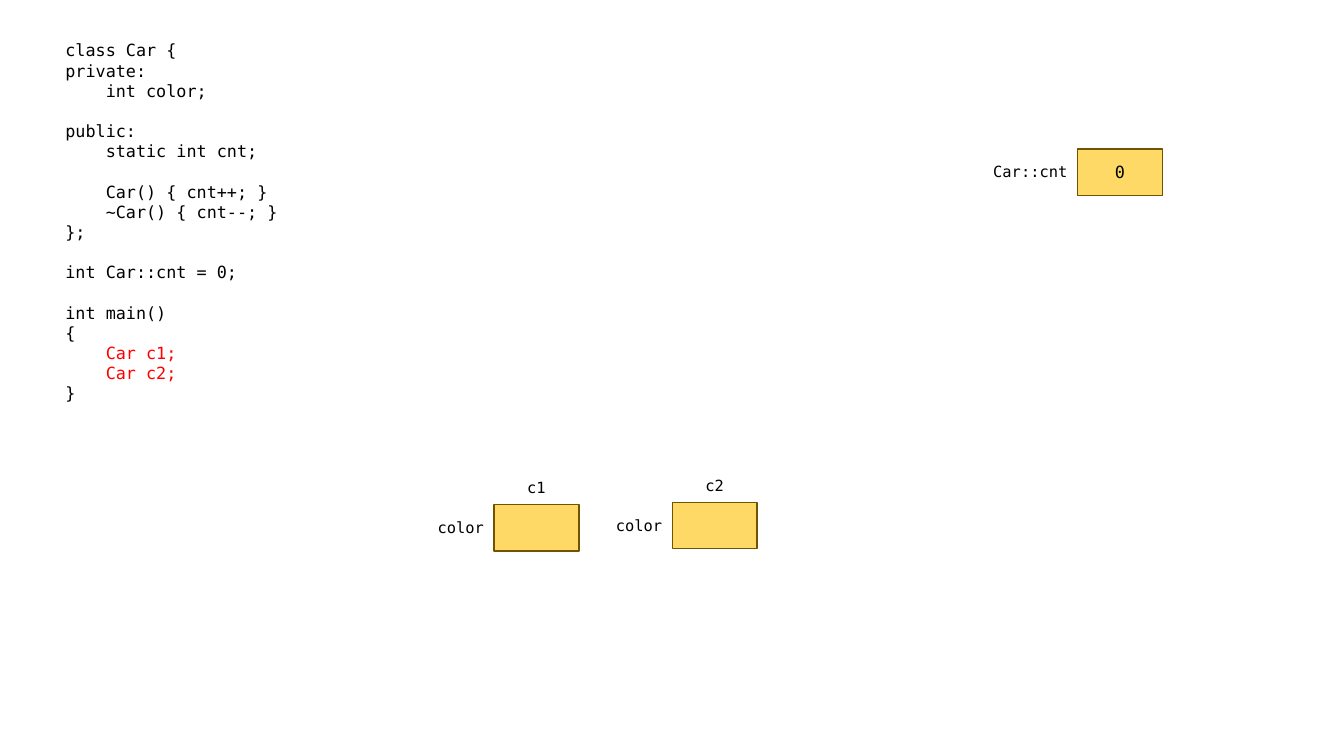
from dataclasses import dataclass

from pptx import Presentation
from pptx.dml.color import RGBColor
from pptx.enum.shapes import MSO_SHAPE as Shape
from pptx.enum.text import MSO_ANCHOR as Anchor, MSO_AUTO_SIZE as AutoSize, PP_ALIGN as Align
from pptx.util import Pt

CODE_BLOCKS = [
    ["class Car {", "private:", "    int color;"],
    ["public:", "    static int cnt;"],
    ["    Car() { cnt++; }", "    ~Car() { cnt--; }", "};"],
    ["int Car::cnt = 0;"],
    ["int main()", "{", "    Car c1;", "    Car c2;", "}"],
]
HIGHLIGHTED = {"    Car c1;", "    Car c2;"}
CODE_AREA = (39.6, 25.2, 480, 269.3)

# left, top, value, label at the left, label width, object name above
VARIABLES = [
    (769.7, 106.4, "0", "Car::cnt", 75, None),
    (352.8, 360.5, "", "color", 54, "c1"),
    (480.2, 358.8, "", "color", 54, "c2"),
]
CELL_WIDTH, CELL_HEIGHT = 60.7, 33.1
LABEL_HEIGHT = 20.9
NAME_WIDTH = 70.6
NAME_RISE = 22.2


@dataclass(frozen=True)
class Theme:
    font: str = "DejaVu Sans Mono"
    text: RGBColor = RGBColor(0, 0, 0)
    highlight: RGBColor = RGBColor(255, 0, 0)
    cell: RGBColor = RGBColor(0xFF, 0xD9, 0x66)
    border: RGBColor = RGBColor(0x70, 0x54, 0x00)
    code_size: float = 12
    label_size: float = 11
    block_gap: float = 14.4


THEME = Theme()


def style(paragraph, size, color=THEME.text, align=Align.LEFT):
    paragraph.alignment = align
    paragraph.font.name = THEME.font
    paragraph.font.size = Pt(size)
    paragraph.font.color.rgb = color


def add_text_frame(slide, area):
    frame = slide.shapes.add_textbox(*map(Pt, area)).text_frame
    frame.word_wrap = True
    frame.auto_size = AutoSize.SHAPE_TO_FIT_TEXT
    return frame


def add_code(slide):
    frame = add_text_frame(slide, CODE_AREA)
    for block_index, block in enumerate(CODE_BLOCKS):
        for line_index, line in enumerate(block):
            first = block_index == line_index == 0
            paragraph = frame.paragraphs[0] if first else frame.add_paragraph()
            paragraph.text = line
            style(paragraph, THEME.code_size,
                  THEME.highlight if line in HIGHLIGHTED else THEME.text)
            if line_index == 0 and not first:
                paragraph.space_before = Pt(THEME.block_gap)


def add_label(slide, text, area, align):
    paragraph = add_text_frame(slide, area).paragraphs[0]
    paragraph.text = text
    style(paragraph, THEME.label_size, align=align)


def add_variable(slide, left, top, value, label, label_width, name):
    """Draw a memory cell with its label and, if given, the object's name."""
    cell = slide.shapes.add_shape(
        Shape.RECTANGLE, *map(Pt, (left, top, CELL_WIDTH, CELL_HEIGHT)))
    cell.shadow.inherit = False
    cell.fill.solid()
    cell.fill.fore_color.rgb = THEME.cell
    cell.line.color.rgb = THEME.border
    cell.line.width = Pt(1)
    if value:
        cell.text_frame.vertical_anchor = Anchor.MIDDLE
        paragraph = cell.text_frame.paragraphs[0]
        paragraph.text = value
        style(paragraph, THEME.code_size, align=Align.CENTER)

    label_top = top + (CELL_HEIGHT - LABEL_HEIGHT) / 2
    add_label(slide, label, (left - label_width, label_top, label_width, LABEL_HEIGHT),
              Align.RIGHT)
    if name:
        name_left = left + (CELL_WIDTH - NAME_WIDTH) / 2
        add_label(slide, name, (name_left, top - NAME_RISE, NAME_WIDTH, LABEL_HEIGHT),
                  Align.CENTER)


def main():
    deck = Presentation()
    deck.slide_width, deck.slide_height = Pt(960), Pt(540)
    slide = deck.slides.add_slide(deck.slide_layouts[6])
    add_code(slide)
    for variable in VARIABLES:
        add_variable(slide, *variable)
    deck.save("out.pptx")


if __name__ == "__main__":
    main()
